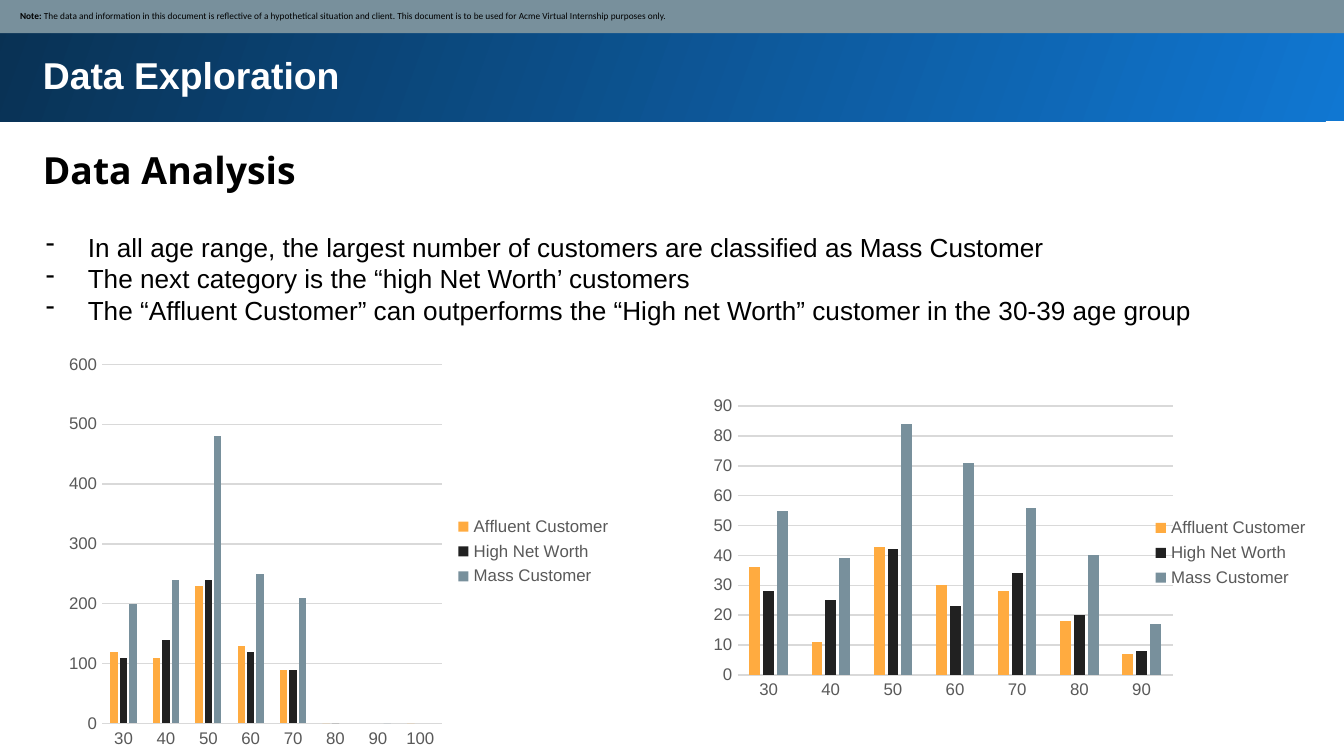
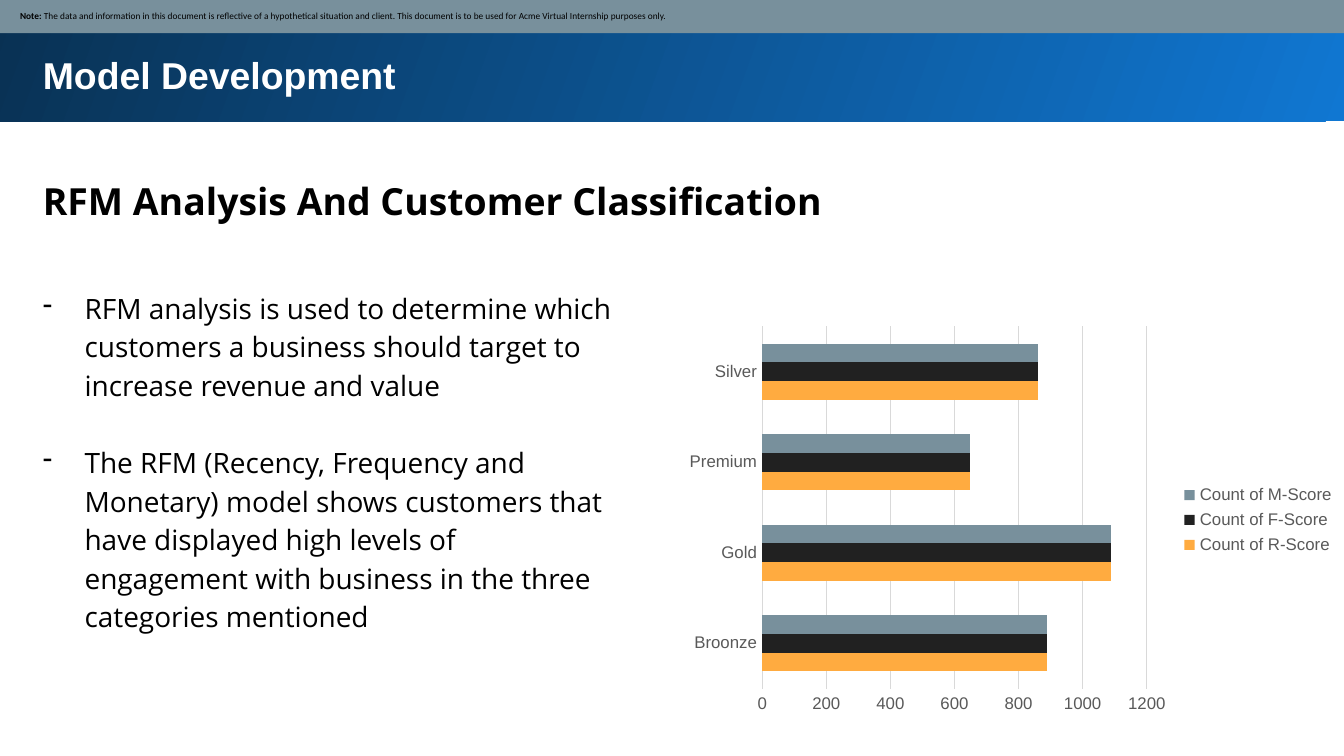
from lxml import etree
from pptx import Presentation
from pptx.chart.data import CategoryChartData
from pptx.dml.color import RGBColor
from pptx.enum.chart import XL_CHART_TYPE as ChartType, XL_LEGEND_POSITION as LegendPos, XL_TICK_MARK as Tick
from pptx.enum.shapes import MSO_SHAPE as Shape
from pptx.enum.text import MSO_ANCHOR as Anchor, MSO_AUTO_SIZE as AutoSize, PP_ALIGN as Align
from pptx.oxml.ns import qn
from pptx.util import Cm, Pt

COLORS = {
    "bright": "1077D2", "navy": "093153", "white": "FFFFFF", "black": "000000",
    "slate": "78909C", "amber": "FFAB40", "ink": "212121", "label": "595959", "grid": "D9D9D9",
}
SERIES_COLORS = ("amber", "ink", "slate")
WIDTH, HEIGHT = 25.4, 14.29
HEADER = (0, 0, WIDTH, 2.29)
MARGIN, TEXT_WIDTH = 0.56, 23.8
NOTE = ("The data and information in this document is reflective of a hypothetical situation and client. "
        "This document is to be used for Acme Virtual Internship purposes only.")


def rgb(name):
    """Return a palette colour."""
    return RGBColor.from_string(COLORS[name])


def style_font(font, size, name="Arial", color="black", bold=False):
    """Set the look of a font."""
    font.size, font.name, font.bold = Pt(size), name, bold
    font.color.rgb = rgb(color)


def set_insets(tf, inset):
    """Give a text frame equal insets."""
    tf.margin_left = tf.margin_right = tf.margin_top = tf.margin_bottom = Cm(inset)


def add_rect(s, box):
    """Add a plain rectangle without line or shadow."""
    sp = s.shapes.add_shape(Shape.RECTANGLE, *map(Cm, box))
    sp.shadow.inherit = False
    sp.line.fill.background()
    return sp


def add_text(s, box, lines, size, inset=0.25, wrap=True, spacing=1.0, **look):
    """Add a text box with one paragraph per line and return its paragraphs."""
    tf = s.shapes.add_textbox(*map(Cm, box)).text_frame
    tf.text = "\n".join(lines)
    tf.word_wrap = wrap
    tf.auto_size = AutoSize.SHAPE_TO_FIT_TEXT
    set_insets(tf, inset)
    for p in tf.paragraphs:
        p.line_spacing = spacing
        style_font(p.runs[0].font, size, **look)
    return tf.paragraphs


def add_header(s, box, title):
    """Add the gradient band with its title and the note strip on top."""
    x, y, w, h = box
    fill = add_rect(s, (x - 0.05, y - 0.05, w + 0.13, h + 0.05)).fill
    fill.gradient()
    fill.gradient_angle = 160
    for stop, name in zip(fill.gradient_stops, ("bright", "navy")):
        stop.color.rgb = rgb(name)
    add_text(s, (x + MARGIN, y + 0.74, TEXT_WIDTH, 1.3), [title], 20, color="white", bold=True)

    strip = add_rect(s, (x - 0.03, y - 0.03, w + 0.08, 0.66))
    strip.fill.solid()
    strip.fill.fore_color.rgb = rgb("slate")
    tf = strip.text_frame
    tf.word_wrap = True
    tf.vertical_anchor = Anchor.MIDDLE
    set_insets(tf, 0.13)
    tf.margin_left = Cm(0.41)
    p = tf.paragraphs[0]
    p.alignment = Align.LEFT
    for text, bold in (("Note: ", True), (NOTE, False)):
        r = p.add_run()
        r.text = text
        style_font(r.font, 5, "Calibri", bold=bold)


def add_heading(s, top, text):
    """Add the heading below the header."""
    add_text(s, (MARGIN, top, TEXT_WIDTH, 1.42), [text], 20, spacing=1.15, name="Open Sans", bold=True)


def add_bullets(s, box, lines, size, gap=0, **look):
    """Add a dashed list with a gap between its items."""
    for i, p in enumerate(add_text(s, box, lines, size, **look)):
        p.space_before = Pt(gap if i else 0)
        pPr = p._p.get_or_add_pPr()
        pPr.set("marL", str(Cm(0.79)))
        pPr.set("indent", str(-Cm(0.79)))
        etree.SubElement(pPr, qn("a:buChar")).set("char", "-")


def set_plot_layout(chart, box):
    """Fix the inner plot area as fractions of the chart."""
    area = chart.element.find(".//" + qn("c:plotArea"))
    for old in area.findall(qn("c:layout")):
        area.remove(old)
    layout = etree.Element(qn("c:layout"))
    manual = etree.SubElement(layout, qn("c:manualLayout"))
    pairs = [("layoutTarget", "inner"), ("xMode", "edge"), ("yMode", "edge"), *zip("xywh", box)]
    for tag, value in pairs:
        etree.SubElement(manual, qn("c:" + tag)).set("val", str(value))
    area.insert(0, layout)


def add_bar_chart(s, box, kind, cats, series, top, step, gap, overlap=0, plot=None):
    """Add a clustered chart with a legend on the right."""
    data = CategoryChartData()
    data.categories = cats
    for name, values in series.items():
        data.add_series(name, values)
    chart = s.shapes.add_chart(kind, *map(Cm, box), data).chart
    style_font(chart.font, 10)
    chart.has_title = False
    chart.has_legend = True
    chart.legend.position = LegendPos.RIGHT
    chart.legend.include_in_layout = False
    style_font(chart.legend.font, 9, color="label")

    cat, val = chart.category_axis, chart.value_axis
    for axis in (cat, val):
        axis.major_tick_mark = axis.minor_tick_mark = Tick.NONE
        style_font(axis.tick_labels.font, 9, color="label")
    cat.has_major_gridlines = False
    val.has_major_gridlines = True
    val.minimum_scale, val.maximum_scale, val.major_unit = 0, top, step
    val.format.line.fill.background()
    for line in (cat.format.line, val.major_gridlines.format.line):
        line.width = Pt(0.75)
        line.color.rgb = rgb("grid")

    bars = chart.plots[0]
    bars.vary_by_categories = False
    bars.gap_width, bars.overlap = gap, overlap
    for ser, name in zip(bars.series, SERIES_COLORS):
        ser.format.fill.solid()
        ser.format.fill.fore_color.rgb = rgb(name)
    if plot:
        set_plot_layout(chart, plot)


def build_exploration(s):
    """Build the slide on customers by age."""
    add_header(s, HEADER, "Data Exploration")
    add_heading(s, 2.41, "Data Analysis")
    add_bullets(s, (0.74, 4.24, 22.28, 2.06), [
        "In all age range, the largest number of customers are classified as Mass Customer",
        "The next category is the “high Net Worth’ customers",
        "The “Affluent Customer” can outperforms the “High net Worth” customer in the 30-39 age group",
    ], 14, inset=0.13, wrap=False)
    ages = [str(age) for age in range(30, 101, 10)]
    add_bar_chart(s, (1.09, 6.55, 10.72, 7.75), ChartType.COLUMN_CLUSTERED, ages, {
        "Affluent Customer": (120, 110, 230, 130, 90, 0, None, 0),
        "High Net Worth": (110, 140, 240, 120, 90, 0, None, None),
        "Mass Customer": (200, 240, 480, 250, 210, None, 0, None),
    }, 600, 100, 219, -27)
    add_bar_chart(s, (12.14, 6.6, 12.85, 7.7), ChartType.COLUMN_CLUSTERED, ages[:-1], {
        "Affluent Customer": (36, 11, 43, 30, 28, 18, 7),
        "High Net Worth": (28, 25, 42, 23, 34, 20, 8),
        "Mass Customer": (55, 39, 84, 71, 56, 40, 17),
    }, 90, 10, 219, -27, plot=(0.14, 0.14, 0.64, 0.66))


def build_model(s):
    """Build the slide on customer classes."""
    add_header(s, HEADER, "Model Development")
    add_heading(s, 3, "RFM Analysis And Customer Classification")
    add_bullets(s, (MARGIN, 5.16, 11.48, 7.14), [
        "RFM analysis is used to determine which customers a business should target to increase revenue and value",
        "The RFM (Recency, Frequency and Monetary) model shows customers that have displayed high levels of "
        "engagement with business in the three categories mentioned",
    ], 15, gap=20.6, spacing=1.15, name="Open Sans")
    counts = (890, 1090, 650, 860)
    add_bar_chart(s, (12.78, 6.02, 12.7, 7.62), ChartType.BAR_CLUSTERED,
                  ["Broonze", "Gold", "Premium", "Silver"],
                  {f"Count of {letter}-Score": counts for letter in "RFM"}, 1200, 200, 182)


prs = Presentation()
prs.slide_width, prs.slide_height = Cm(WIDTH), Cm(HEIGHT)
for build in (build_exploration, build_model):
    build(prs.slides.add_slide(prs.slide_layouts[6]))
prs.save("out.pptx")
